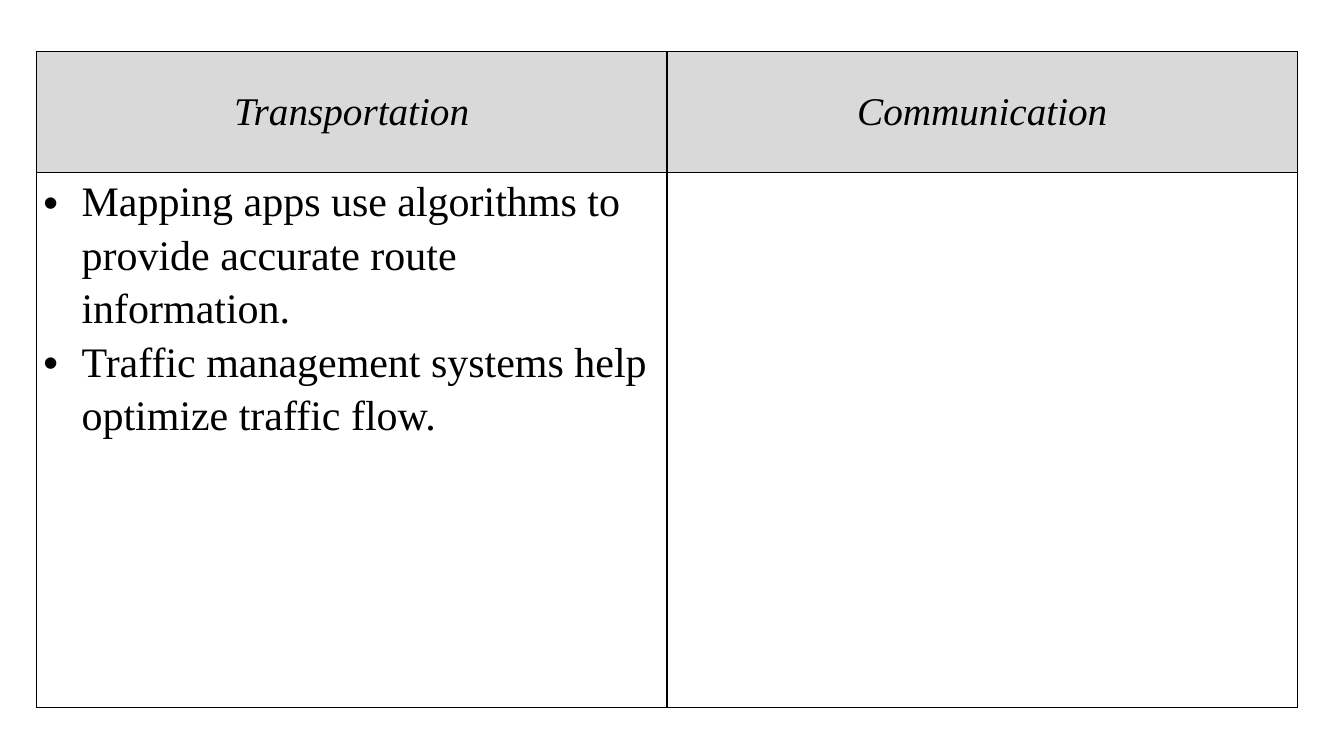
from dataclasses import dataclass

from lxml import etree
from pptx import Presentation
from pptx import util as u
from pptx.dml.color import RGBColor
from pptx.enum import text
from pptx.oxml import ns
from pptx.table import _Cell

FONT = "Times New Roman"
BLACK = "000000"
HEADER_GREY = "D9D9D9"
BORDER_SIDES = ("lnL", "lnR", "lnT", "lnB")
BULLET_INDENT = u.Inches(0.38)


@dataclass(frozen=True)
class Topic:
    heading: str
    points: tuple[str, ...] = ()


TOPICS = (
    Topic(
        "Transportation",
        (
            "Mapping apps use algorithms to provide accurate route information.",
            "Traffic management systems help optimize traffic flow.",
        ),
    ),
    Topic("Communication"),
)


def color(hex_value: str) -> RGBColor:
    return RGBColor.from_string(hex_value)


def add_element(parent, tag: str, **attributes: str):
    return etree.SubElement(parent, ns.qn(f"a:{tag}"), attributes)


def set_font(paragraph, size: int, italic: bool = False) -> None:
    font = paragraph.font
    font.name = FONT
    font.size = u.Pt(size)
    font.bold = False
    font.italic = italic
    font.color.rgb = color(BLACK)


def frame_cell(cell: _Cell) -> None:
    cell.margin_left = cell.margin_right = u.Inches(0.07)
    cell.margin_top = cell.margin_bottom = 0
    properties = cell._tc.get_or_add_tcPr()
    for side in BORDER_SIDES:
        border = add_element(properties, side, w=str(u.Pt(1)))
        add_element(add_element(border, "solidFill"), "srgbClr", val=BLACK)


def write_heading(cell: _Cell, heading: str) -> None:
    frame_cell(cell)
    cell.fill.solid()
    cell.fill.fore_color.rgb = color(HEADER_GREY)
    cell.vertical_anchor = text.MSO_ANCHOR.MIDDLE
    paragraph = cell.text_frame.paragraphs[0]
    paragraph.text = heading
    paragraph.alignment = text.PP_ALIGN.CENTER
    set_font(paragraph, 28, italic=True)


def write_points(cell: _Cell, points: tuple[str, ...]) -> None:
    frame_cell(cell)
    cell.fill.background()
    cell.text_frame.text = "\n".join(points)
    if not points:
        return
    for paragraph in cell.text_frame.paragraphs:
        paragraph.line_spacing = 1.15
        properties = paragraph._p.get_or_add_pPr()
        properties.set("marL", str(BULLET_INDENT))
        properties.set("indent", str(-BULLET_INDENT))
        add_element(properties, "buFont", typeface="Arial")
        add_element(properties, "buChar", char="•")
        set_font(paragraph, 30)


def main() -> None:
    presentation = Presentation()
    presentation.slide_width = u.Inches(13.33)
    presentation.slide_height = u.Inches(7.5)
    slide = presentation.slides.add_slide(presentation.slide_layouts[6])
    topics_table = slide.shapes.add_table(
        2, len(TOPICS), u.Inches(0.36), u.Inches(0.51), u.Inches(12.51), u.Inches(6.51)
    ).table
    topics_table.first_row = False
    topics_table.horz_banding = False
    topics_table.rows[0].height = u.Inches(1.2)
    topics_table.rows[1].height = u.Inches(5.31)
    for column, topic in enumerate(TOPICS):
        write_heading(topics_table.cell(0, column), topic.heading)
        write_points(topics_table.cell(1, column), topic.points)
    presentation.save("out.pptx")


if __name__ == "__main__":
    main()
